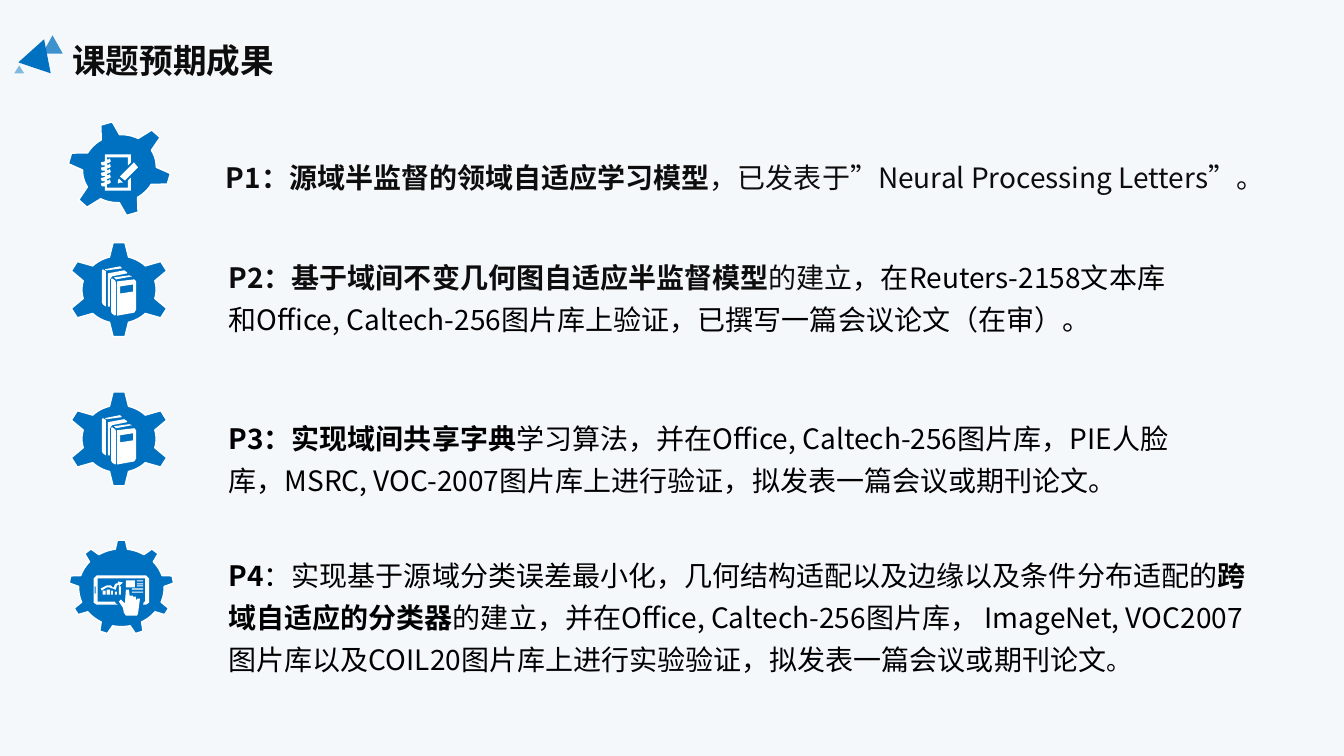
import math
from dataclasses import dataclass

import pptx
import pptx.dml.color
import pptx.enum.shapes
import pptx.enum.text
import pptx.oxml
import pptx.oxml.ns
import pptx.util
from lxml import etree

Cm = pptx.util.Cm
Pt = pptx.util.Pt


@dataclass(frozen=True)
class Theme:
    font: str = "Noto Sans CJK SC"
    background: str = "F5F8FB"
    accent: str = "0070C0"
    white: str = "FFFFFF"
    ink: str = "0D0D0D"
    black: str = "000000"
    title_size: int = 24
    body_size: int = 20
    stop_size: int = 18
    line_pitch: int = 30


THEME = Theme()
GLYPH_UNIT = 2.54 / 100  # centimetres per glyph grid step
GEAR_STRETCH = 1.1


def rgb(code):
    return pptx.dml.color.RGBColor.from_string(code)


def rectangle(left, top, width, height):
    right, bottom = left + width, top + height
    return [(left, top), (right, top), (right, bottom), (left, bottom)]


def notebook_glyph():
    """A spiral notebook whose five rings follow one repeated outline."""
    rings = [5 + 5.2 * index for index in range(5)]
    cover = [(4, 0), (30, 0), (30, 8), (27, 11), (27, 3), (6, 3)]
    for y in rings:
        cover += [(6, y), (8, y), (9, y - 1), (10, y + 2), (9, y + 3), (6, y + 4)]
    cover += [(6, 33), (27, 33), (27, 26), (30, 23), (30, 36), (4, 36)]
    for y in reversed(rings):
        cover += [(4, y + 6), (1, y + 6), (0, y + 3), (4, y + 2)]
    pencil_tip = [(17, 29), (19, 28), (22, 28), (18, 24), (17, 26)]
    pencil = [(33, 8), (19, 22), (24, 26), (37, 13)]
    return [cover, pencil_tip, pencil]


def books_glyph():
    return [
        [(6, 7), (22, 4), (25, 6), (25, 7), (10, 10), (8, 13), (8, 40), (6, 40)],
        [(18, 20), (18, 27), (31, 25), (31, 18)],
        [(15, 15), (15, 49), (32, 46), (34, 43), (34, 15), (32, 13)],
        [(10, 12), (9, 13), (9, 45), (10, 47), (13, 49), (14, 48), (14, 16), (13, 14)],
        [(12, 11), (14, 13), (30, 10), (27, 9)],
        [(1, 3), (4, 5), (4, 40), (1, 38), (0, 36), (0, 4)],
        [(3, 3), (4, 4), (5, 4), (20, 2), (18, 0)],
    ]


def tablet_glyph():
    frame = [(3, 0), (52, 0), (55, 3), (55, 27), (52, 29), (49, 29), (50, 26),
             (51, 26), (51, 3), (4, 3), (4, 26), (21, 26), (22, 28), (24, 29),
             (3, 29), (0, 27), (0, 3)]
    trend = [(7, 13), (8, 15), (13, 12), (16, 12), (18, 13), (19, 13), (21, 14),
             (22, 14), (23, 10), (25, 9), (25, 11), (29, 7), (24, 6), (24, 8),
             (22, 8), (21, 9), (20, 12), (19, 12), (17, 10), (13, 10)]
    hand = [(36, 23), (35, 14), (32, 14), (31, 28), (27, 24), (25, 26), (29, 32),
            (30, 37), (32, 40), (43, 40), (44, 38), (46, 23), (43, 23), (42, 25),
            (42, 21), (39, 21), (39, 20), (36, 20)]
    bars = [(9, 15, 3, 4), (13, 14, 3, 5), (17, 15, 2, 4), (21, 16, 2, 3), (25, 11, 2, 8)]
    text_lines = [(43, y, 6, 1) for y in (5, 8, 10)] + [(38, y, 11, 1) for y in (13, 16)]
    panels = [(32, 5, 9, 7), (1, 11, 1, 7)]
    return [frame, trend, hand] + [rectangle(*item) for item in bars + text_lines + panels]


def paint(shape, colour, opacity=100):
    shape.shadow.inherit = False
    shape.fill.solid()
    shape.fill.fore_color.rgb = rgb(colour)
    shape.line.fill.background()
    if opacity < 100:
        tag = pptx.oxml.ns.qn("a:srgbClr")
        colour_node = next(shape._element.spPr.iter(tag))
        alpha = etree.SubElement(colour_node, pptx.oxml.ns.qn("a:alpha"))
        alpha.set("val", str(opacity * 1000))


def add_outline(page, contours, colour):
    """Draw closed contours, given in centimetres, as one shape."""
    scaled = [[(x * 1000, y * 1000) for x, y in contour] for contour in contours]
    builder = page.shapes.build_freeform(*scaled[0][0], scale=Cm(1) / 1000)
    for index, contour in enumerate(scaled):
        if index:
            builder.move_to(*contour[0])
        builder.add_line_segments(contour[1:], close=True)
    shape = builder.convert_to_shape()
    paint(shape, colour)
    return shape


def add_gear(page, centre, teeth, tip, root, half_tip, half_root, turn=0):
    """Radii are in centimetres, angles in degrees clockwise from the top."""
    step = 360 / teeth
    gap = step - 2 * half_root
    cos_turn, sin_turn = math.cos(math.radians(turn)), math.sin(math.radians(turn))
    points = []
    for tooth in range(teeth):
        angle = tooth * step
        polar = [(root, angle - half_root), (tip, angle - half_tip),
                 (tip, angle + half_tip)]
        polar += [(root, angle + half_root + gap * part / 6) for part in range(6)]
        for radius, degrees in polar:
            x = GEAR_STRETCH * radius * math.sin(math.radians(degrees))
            y = -radius * math.cos(math.radians(degrees))
            points.append((centre[0] + x * cos_turn - y * sin_turn,
                           centre[1] + x * sin_turn + y * cos_turn))
    gear = add_outline(page, [points], THEME.accent)
    gear.line.color.rgb = rgb(THEME.white)
    gear.line.width = Pt(1)


def add_glyph(page, contours, left, top):
    placed = [[(left + x * GLYPH_UNIT, top + y * GLYPH_UNIT) for x, y in contour]
              for contour in contours]
    add_outline(page, placed, THEME.white)


def format_span(span, size, colour, bold):
    span.font.name = THEME.font
    span.font.size = Pt(size)
    span.font.bold = bold
    span.font.color.rgb = rgb(colour)
    east_asian = etree.SubElement(span.font._element, pptx.oxml.ns.qn("a:ea"))
    east_asian.set("typeface", THEME.font)


def add_result(page, left, top, width, height, spans):
    box = page.shapes.add_textbox(Cm(left), Cm(top), Cm(width), Cm(height))
    box.text_frame.word_wrap = True
    para = box.text_frame.paragraphs[0]
    para.line_spacing = Pt(THEME.line_pitch)
    for text, bold, colour, size in spans:
        span = para.add_run()
        span.text = text
        format_span(span, size, colour, bold)


def set_title(page, text):
    title = page.shapes.title
    title.left, title.top, title.width, title.height = Cm(1.57), Cm(0.89), Cm(6.3), Cm(1.27)
    frame = title.text_frame
    frame.text = text
    frame.word_wrap = False
    frame.auto_size = pptx.enum.text.MSO_AUTO_SIZE.NONE
    frame.vertical_anchor = pptx.enum.text.MSO_ANCHOR.MIDDLE
    para = frame.paragraphs[0]
    para.alignment = pptx.enum.text.PP_ALIGN.LEFT
    para.line_spacing = 1.0
    format_span(para.runs[0], THEME.title_size, THEME.ink, True)


def add_title_mark(page):
    group = page.shapes.add_group_shape()
    triangle = pptx.enum.shapes.MSO_SHAPE.ISOSCELES_TRIANGLE
    for left, top, width, height, turn, opacity in (
            (1.07, 0.89, 0.51, 0.46, 0, 75),
            (0.56, 0.97, 0.86, 0.76, 18.5, 100),
            (0.36, 1.65, 0.25, 0.2, 0, 47)):
        shape = group.shapes.add_shape(triangle, Cm(left), Cm(top), Cm(width), Cm(height))
        shape.rotation = turn
        paint(shape, THEME.accent, opacity)


def main():
    deck = pptx.Presentation()
    deck.slide_width, deck.slide_height = Cm(33.87), Cm(19.05)
    page = deck.slides.add_slide(deck.slide_layouts[5])
    page.background.fill.solid()
    page.background.fill.fore_color.rgb = rgb(THEME.background)
    set_title(page, "课题预期成果")
    add_title_mark(page)

    six_teeth = (6, 1.19, 0.85, 6.6, 14.8)
    nine_teeth = (9, 1.2, 0.98, 4.4, 8.2)
    add_gear(page, (3.01, 4.25), *six_teeth, turn=-16)
    add_gear(page, (3, 7.3), *six_teeth)
    add_gear(page, (3, 11.06), *six_teeth)
    add_gear(page, (3.06, 14.81), *nine_teeth)
    add_glyph(page, notebook_glyph(), 2.54, 3.89)
    add_glyph(page, books_glyph(), 2.57, 6.71)
    add_glyph(page, books_glyph(), 2.57, 10.46)
    add_glyph(page, tablet_glyph(), 2.36, 14.5)

    ink, black, size = THEME.ink, THEME.black, THEME.body_size
    add_result(page, 5.44, 3.71, 26.72, 1.22, [
        ("P1：源域半监督的领域自适应学习模型", True, ink, size),
        ("，已发表于”Neural Processing Letters”。", False, ink, size)])
    add_result(page, 5.51, 6.22, 24.33, 2.29, [
        ("P2：基于域间不变几何图自适应半监督模型", True, ink, size),
        ("的建立", False, ink, size),
        ("，在Reuters-2158文本库和Office, Caltech-256图片库上验证，已撰写一篇会议论文（在审）。",
         False, black, size)])
    add_result(page, 5.51, 10.29, 24.33, 2.29, [
        ("P3：实现域间共享字典", True, black, size),
        ("学习算法，并在Office, Caltech-256图片库，PIE人脸库，MSRC, VOC-2007图片库上进行验证，"
         "拟发表一篇会议或期刊论文。", False, black, size)])
    add_result(page, 5.51, 13.74, 26.72, 3.35, [
        ("P4", True, black, size),
        ("：实现基于源域分类误差最小化，几何结构适配以及边缘以及条件分布适配的", False, black, size),
        ("跨域自适应的分类器", True, black, size),
        ("的建立，并在Office, Caltech-256图片库， ImageNet, VOC2007 图片库以及COIL20图片库上"
         "进行实验验证，拟发表一篇会议或期刊论文", False, black, size),
        ("。", False, black, THEME.stop_size)])
    deck.save("out.pptx")


if __name__ == "__main__":
    main()
